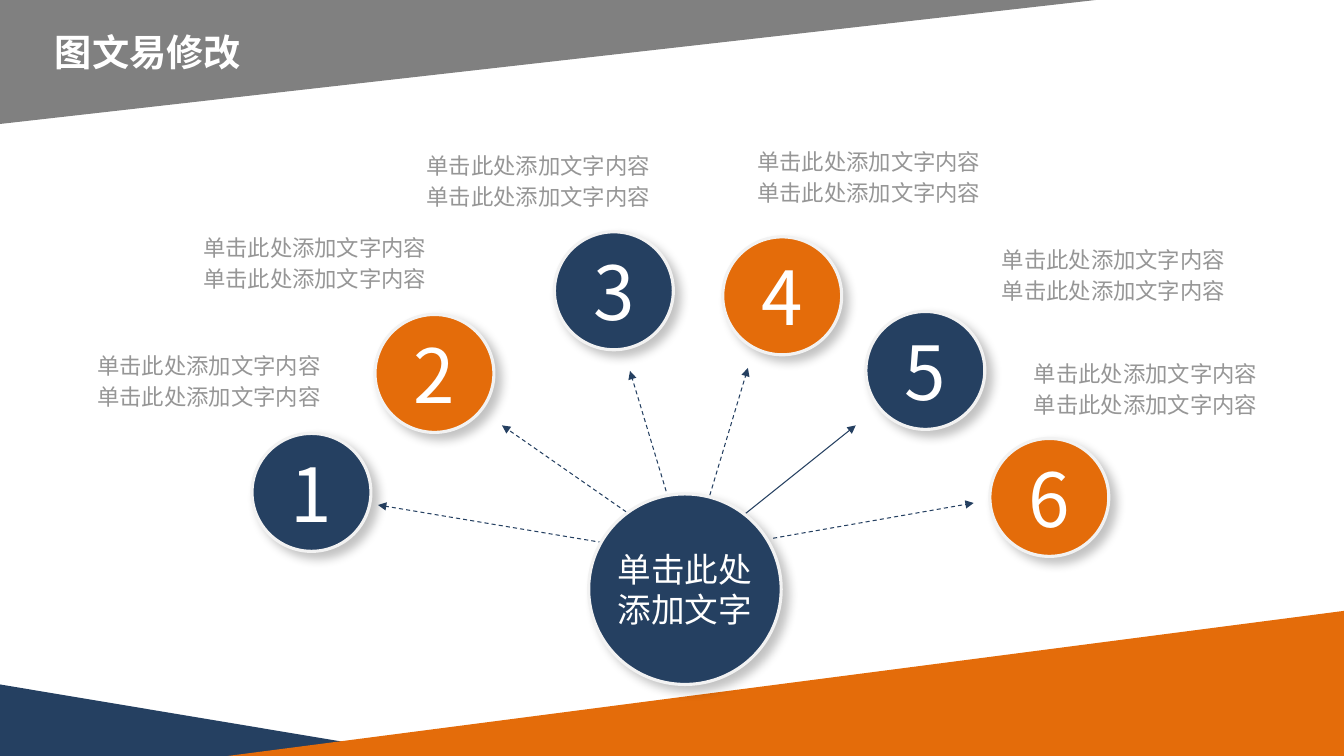
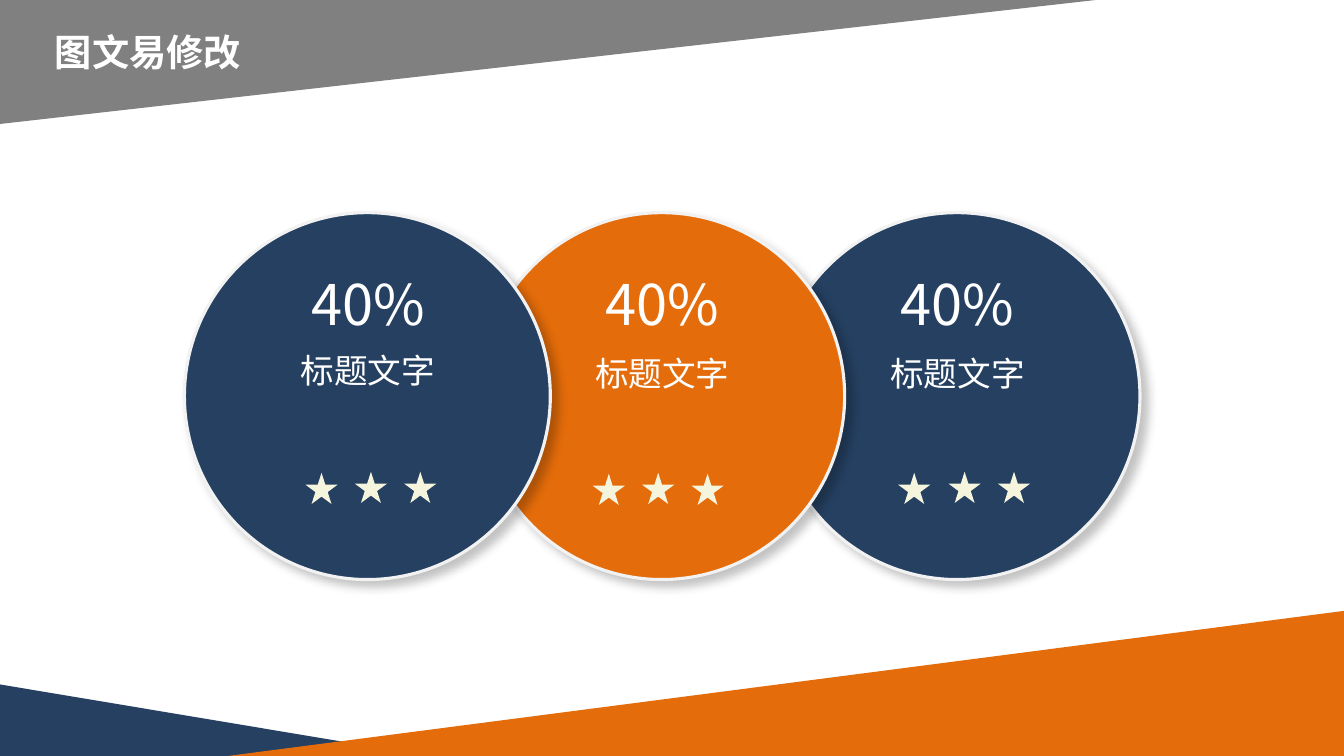
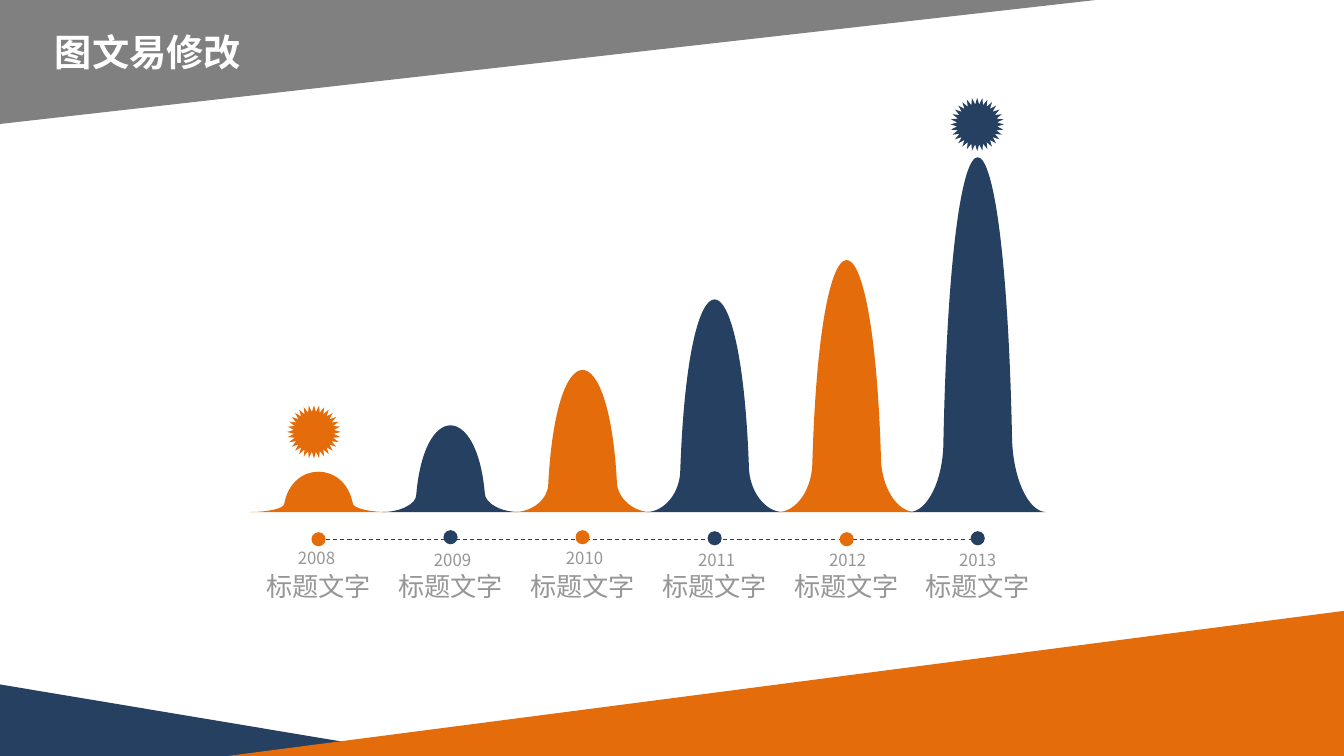
from dataclasses import dataclass
from typing import Optional

from lxml.etree import SubElement
from pptx import Presentation
from pptx.dml.color import RGBColor
from pptx.enum.dml import MSO_LINE_DASH_STYLE as Dash
from pptx.enum.shapes import MSO_CONNECTOR as Connector, MSO_SHAPE as Preset
from pptx.enum.text import MSO_AUTO_SIZE as AutoSize, MSO_ANCHOR as Anchor, PP_ALIGN as Align
from pptx.oxml.ns import qn
from pptx.util import Emu, Pt

# Shared look; one px is a hundredth of an inch
EMU_PER_PX = 9144
SLIDE_W, SLIDE_H = Emu(12192000), Emu(6858000)
NAVY, ORANGE, GREY = "254061", "E46C0A", "808080"
WHITE, RIM, CREAM, MUTED = "FFFFFF", "F2F2F2", "F5F4DD", "969696"
SANS, NUMERAL = "Noto Sans CJK SC", "Noto Sans CJK JP"
TITLE = "图文易修改"
NOTE = "单击此处添加文字内容"
CAPTION = "标题文字"


@dataclass(frozen=True)
class Band:
    left: int
    top: int
    width: int
    height: int
    color: str
    flipped: bool = False
    rotation: int = 0


@dataclass(frozen=True)
class Node:
    left: int
    top: int
    note_left: int
    note_top: int
    align: Align
    arrow: tuple[int, int, int, int]
    dashed: bool = True


@dataclass(frozen=True)
class Share:
    left: int
    color: str
    caption_top: int
    stars: tuple[tuple[int, int], ...]


@dataclass(frozen=True)
class Peak:
    year: str
    center: int
    top: int
    dot_top: int
    year_left: int
    year_top: int
    badge: Optional[tuple[int, int]] = None


BANDS = [
    Band(0, 679, 425, 71, NAVY),
    Band(226, 606, 1108, 144, ORANGE, flipped=True),
    Band(0, 0, 1087, 123, GREY, flipped=True, rotation=180),
]
NODES = [
    Node(250, 430, 68, 344, Align.RIGHT, (626, 543, 375, 501)),
    Node(372, 312, 173, 227, Align.RIGHT, (633, 516, 498, 422)),
    Node(550, 230, 404, 146, Align.CENTER, (665, 501, 625, 368)),
    Node(717, 235, 732, 142, Align.CENTER, (698, 512, 742, 365)),
    Node(859, 309, 984, 239, Align.LEFT, (734, 514, 849, 422), dashed=False),
    Node(982, 435, 1016, 352, Align.LEFT, (767, 534, 966, 499)),
]
SHARES = [
    Share(183, NAVY, 342, ((303, 469), (352, 468), (401, 468))),
    Share(475, ORANGE, 345, ((588, 470), (637, 469), (686, 470))),
    Share(768, NAVY, 345, ((891, 469), (941, 468), (990, 468))),
]
PEAKS = [
    Peak("2008", 316, 468, 528, 282, 538, (285, 402)),
    Peak("2009", 447, 422, 526, 417, 540),
    Peak("2010", 578, 367, 526, 548, 538),
    Peak("2011", 709, 297, 527, 679, 540),
    Peak("2012", 840, 258, 528, 809, 540),
    Peak("2013", 970, 156, 527, 938, 540, (943, 97)),
]


# Helpers
def px(length: float) -> Emu:
    return Emu(round(length * EMU_PER_PX))


def rgb(color: str) -> RGBColor:
    return RGBColor.from_string(color)


def write(shape, lines: list[str], size: float, color: str, font: str = SANS,
          align: Align = Align.CENTER, bold: bool = False, gap: float = 0) -> None:
    frame = shape.text_frame
    for index, line in enumerate(lines):
        paragraph = frame.add_paragraph() if index else frame.paragraphs[0]
        paragraph.text = line
        paragraph.alignment = align
        if index and gap:
            paragraph.space_before = Pt(gap)
        paragraph.font.size = Pt(size)
        paragraph.font.bold = bold
        paragraph.font.color.rgb = rgb(color)
        paragraph.font.name = font
    # East Asian text needs its own typeface entry
    for latin in list(shape.element.iter(qn("a:latin"))):
        east_asian = SubElement(latin.getparent(), qn("a:ea"), typeface=font)
        latin.addnext(east_asian)


def add_text(slide, left: int, top: int, width: int, height: int,
             lines: list[str], size: float, color: str,
             align: Align = Align.CENTER, gap: float = 0) -> None:
    box = slide.shapes.add_textbox(px(left), px(top), px(width), px(height))
    box.text_frame.word_wrap = True
    box.text_frame.auto_size = AutoSize.SHAPE_TO_FIT_TEXT
    write(box, lines, size, color, align=align, gap=gap)


def paint(shape, color: str) -> None:
    shape.shadow.inherit = False
    shape.fill.solid()
    shape.fill.fore_color.rgb = rgb(color)
    shape.line.fill.background()


def add_preset(slide, preset: Preset, left: int, top: int,
               width: int, height: int, color: str):
    shape = slide.shapes.add_shape(preset, px(left), px(top), px(width), px(height))
    paint(shape, color)
    return shape


def add_disc(slide, left: int, top: int, width: int, height: int, color: str):
    """A rimmed circle with a soft shadow to the lower right."""
    disc = add_preset(slide, Preset.OVAL, left, top, width, height, color)
    disc.line.color.rgb = rgb(RIM)
    disc.line.width = Pt(2.25)
    disc.text_frame.word_wrap = False
    effects = disc.element.spPr.find(qn("a:effectLst"))
    shadow = SubElement(effects, qn("a:outerShdw"), blurRad=str(Pt(7)),
                        dist=str(Pt(5.9)), dir="2700000", algn="tl", rotWithShape="0")
    tint = SubElement(shadow, qn("a:srgbClr"), val="000000")
    SubElement(tint, qn("a:alpha"), val="23000")
    return disc


def add_line(slide, ends: tuple[int, int, int, int],
             dashed: bool = True, arrow: bool = False) -> None:
    line = slide.shapes.add_connector(Connector.STRAIGHT, *map(px, ends))
    line.line.color.rgb = rgb(NAVY)
    line.line.width = Pt(0.75)
    if dashed:
        line.line.dash_style = Dash.DASH
    properties = line.element.spPr
    if arrow:
        SubElement(properties.find(qn("a:ln")), qn("a:tailEnd"), type="triangle")
    SubElement(properties, qn("a:effectLst"))


def add_titled_slide(deck, layout):
    slide = deck.slides.add_slide(layout)
    title = slide.shapes.title
    title.left, title.top, title.width, title.height = px(0), px(29), px(294), px(45)
    frame = title.text_frame
    frame.margin_left = frame.margin_top = frame.margin_right = frame.margin_bottom = 0
    frame.vertical_anchor = Anchor.TOP
    frame.word_wrap = True
    frame.auto_size = AutoSize.SHAPE_TO_FIT_TEXT
    write(title, [TITLE], 26.6, WHITE, bold=True)
    return slide


def move_bands_to_layout(slide, layout) -> None:
    """Draw the corner bands once and keep them behind the layout's placeholders."""
    triangles = [add_preset(slide, Preset.RIGHT_TRIANGLE, band.left, band.top,
                            band.width, band.height, band.color) for band in BANDS]
    for index, (band, triangle) in enumerate(zip(BANDS, triangles)):
        triangle.rotation = band.rotation
        if band.flipped:
            triangle.element.spPr.find(qn("a:xfrm")).set("flipH", "1")
        triangle.element.nvSpPr.cNvPr.set("id", str(20 + index))
        layout.shapes.element.insert(2 + index, triangle.element)


# Slide 1: six numbered nodes around a hub
def draw_hub(slide) -> None:
    for node in NODES:
        add_line(slide, node.arrow, node.dashed, arrow=True)
    for number, node in enumerate(NODES, start=1):
        color = NAVY if number % 2 else ORANGE
        disc = add_disc(slide, node.left, node.top, 118, 117, color)
        write(disc, [str(number)], 53.3, WHITE, NUMERAL)
    for node in NODES:
        add_text(slide, node.note_left, node.note_top, 260, 69,
                 [NOTE, NOTE], 16, MUTED, node.align, gap=3.2)
    hub = add_disc(slide, 584, 490, 191, 189, NAVY)
    write(hub, ["单击此处", "添加文字"], 24, WHITE, NUMERAL)


# Slide 2: three overlapping circles, the leftmost in front
def draw_shares(slide) -> None:
    for share in reversed(SHARES):
        add_disc(slide, share.left, 211, 363, 364, share.color)
        text_left = share.left + 64
        add_text(slide, text_left, 262, 236, 77, ["40%"], 40, WHITE)
        add_text(slide, text_left, share.caption_top, 236, 50, [CAPTION], 24, WHITE)
        for left, top in share.stars:
            add_preset(slide, Preset.STAR_5_POINT, left, top, 32, 31, CREAM)


# Slide 3: peaks growing along a time line
def bend(shape, curves: list[bool]) -> None:
    """Turn runs of three straight segments into cubic curves where marked."""
    outline = next(shape.element.iter(qn("a:path")))
    segments = iter(outline.findall(qn("a:lnTo")))
    for curved in curves:
        segment = next(segments)
        if curved:
            curve = SubElement(outline, qn("a:cubicBezTo"))
            segment.addprevious(curve)
            for control in (segment, next(segments), next(segments)):
                curve.append(control[0])
                outline.remove(control)


def add_peak(slide, center: int, top: int, base: int, color: str) -> None:
    height = base - top

    def side(sign: int, shoulder: float) -> list[tuple[Emu, Emu]]:
        outline = [(0, 1), (15, 1), (30, 0.74), (34, shoulder),
                   (34, 0.45 * shoulder), (50, 0), (68, 0)]
        return [(px(center + sign * x), px(base - y * height)) for x, y in outline]

    points = side(1, 0.22) + side(-1, 0.2)[::-1]
    builder = slide.shapes.build_freeform(*points[0])
    builder.add_line_segments(points[1:], close=True)
    peak = builder.convert_to_shape()
    bend(peak, [True, True, False, True, True])
    paint(peak, color)


def draw_peaks(slide) -> None:
    base, axis = 508, 535
    add_line(slide, (PEAKS[0].center, axis, PEAKS[-1].center, axis))
    for index, peak in enumerate(PEAKS):
        color = NAVY if index % 2 else ORANGE
        add_preset(slide, Preset.OVAL, peak.center - 7, peak.dot_top, 14, 14, color)
        add_text(slide, peak.year_left, peak.year_top, 64, 30, [peak.year], 12, MUTED)
        add_peak(slide, peak.center, peak.top, base, color)
        if peak.badge:
            add_preset(slide, Preset.STAR_32_POINT, *peak.badge, 53, 53, color)
        add_text(slide, peak.center - 75, 561, 150, 42, [CAPTION], 18.7, MUTED)


def main() -> None:
    deck = Presentation()
    deck.slide_width, deck.slide_height = SLIDE_W, SLIDE_H
    layout = deck.slide_layouts[5]
    slides = [add_titled_slide(deck, layout) for _ in range(3)]
    move_bands_to_layout(slides[0], layout)
    for draw, slide in zip((draw_hub, draw_shares, draw_peaks), slides):
        draw(slide)
    deck.save("out.pptx")


if __name__ == "__main__":
    main()
